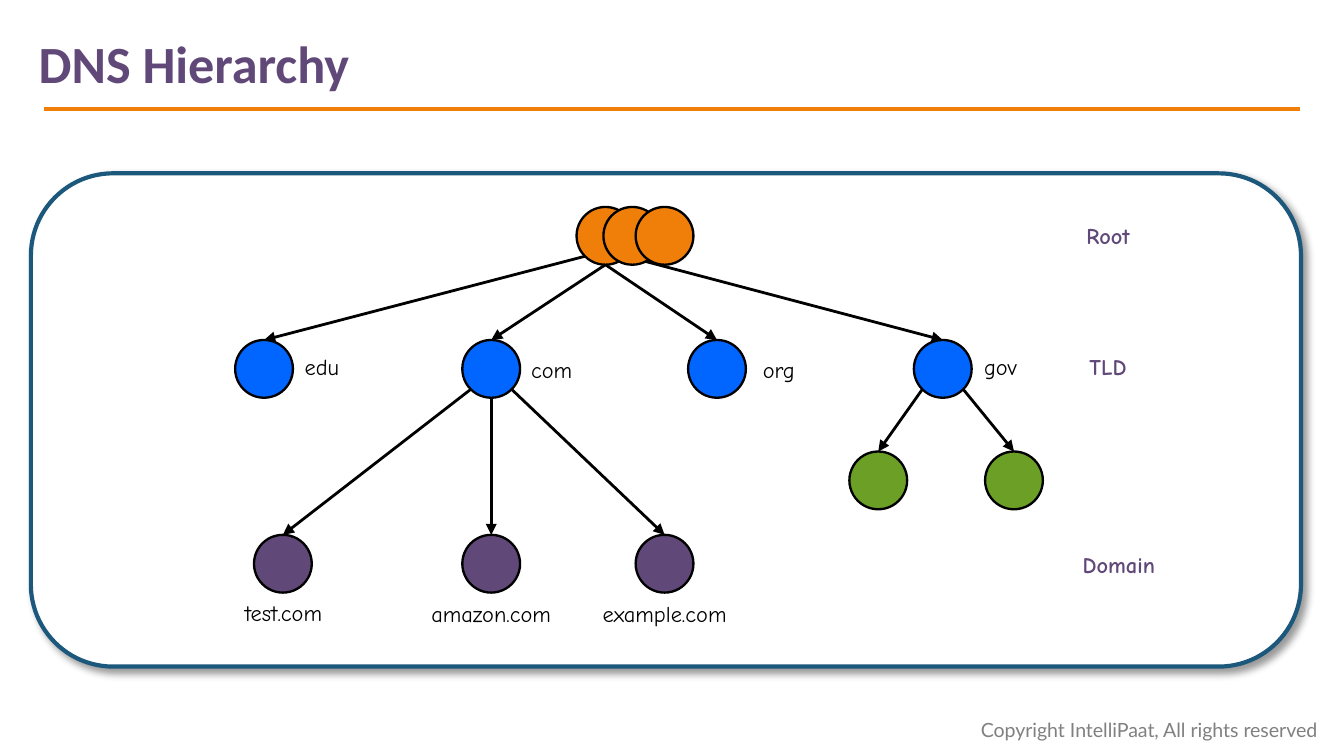
from math import cos, radians, sin

from lxml.etree import SubElement
from pptx import Presentation
from pptx.dml.color import RGBColor
from pptx.enum.shapes import MSO_CONNECTOR, MSO_SHAPE
from pptx.enum.text import MSO_ANCHOR, PP_ALIGN
from pptx.oxml.ns import qn
from pptx.util import Inches, Pt

COLORS = {
    "orange": "F07F09", "navy": "1B587C", "purple": "604878", "blue": "0066FF",
    "green": "6B9F25", "gray": "808080", "black": "000000", "white": "FFFFFF",
}
SIZE = 0.43  # node diameter


def color(name):
    return RGBColor.from_string(COLORS[name])


class Canvas:
    """Holds the style and the current slide."""
    font = "Comic Neue"

    def __init__(self, slide):
        self.shapes = slide.shapes

    def text(self, box, words, size=12, font=font, tint="black", bold=False,
             align=PP_ALIGN.CENTER, anchor=MSO_ANCHOR.TOP, wrap=True):
        frame = self.shapes.add_textbox(*map(Inches, box)).text_frame
        frame.word_wrap = wrap
        frame.vertical_anchor = anchor
        para = frame.paragraphs[0]
        para.alignment = align
        run = para.add_run()
        run.text = words
        run.font.name, run.font.size, run.font.bold = font, Pt(size), bold
        run.font.color.rgb = color(tint)

    def shape(self, kind, box, fill, line, width):
        shape = self.shapes.add_shape(kind, *map(Inches, box))
        shape.shadow.inherit = False
        shape.fill.solid()
        shape.fill.fore_color.rgb = color(fill)
        shape.line.color.rgb = color(line)
        shape.line.width = Pt(width)
        return shape

    def panel(self, box):
        panel = self.shape(MSO_SHAPE.ROUNDED_RECTANGLE, box, "white", "navy", 2.25)
        effects = panel._element.spPr.find(qn("a:effectLst"))
        shadow = SubElement(effects, qn("a:outerShdw"), blurRad=str(Pt(4)),
                            dist=str(Pt(3)), dir="2700000", algn="tl", rotWithShape="0")
        tint = SubElement(shadow, qn("a:srgbClr"), val=COLORS["black"])
        SubElement(tint, qn("a:alpha"), val="40000")

    def node(self, left, top, fill):
        return self.shape(MSO_SHAPE.OVAL, (left, top, SIZE, SIZE), fill, "black", 1.25)

    def line(self, start, end, tint, width):
        line = self.shapes.add_connector(MSO_CONNECTOR.STRAIGHT, *start, *end)
        line.line.color.rgb = color(tint)
        line.line.width = Pt(width)
        SubElement(line._element.spPr, qn("a:effectLst"))
        return line

    def arrow(self, parent, child, angle):
        """Leave the parent's rim at an angle from its bottom; end on the child's top."""
        reach, turn = parent.width / 2, radians(angle)
        start = (int(parent.left + reach * (1 + sin(turn))),
                 int(parent.top + reach * (1 + cos(turn))))
        line = self.line(start, (child.left + child.width // 2, child.top), "black", 1.5)
        line.end_connect(child, 0)
        SubElement(line.line._get_or_add_ln(), qn("a:tailEnd"), type="triangle")


def main():
    deck = Presentation()
    deck.slide_width = Inches(10)
    deck.slide_height = deck.slide_width * 9 // 16
    art = Canvas(deck.slides.add_slide(deck.slide_layouts[6]))

    # Footer, rule, panel and title
    art.text((7.2, 5.29, 2.8, 0.28), "Copyright IntelliPaat, All rights reserved", 10.5,
             "Lato", "gray", align=PP_ALIGN.LEFT, wrap=False)
    art.line((Inches(9.67), Inches(0.81)), (Inches(0.33), Inches(0.81)), "orange", 2.25)
    art.panel((0.23, 1.29, 9.45, 3.67))
    art.text((0.19, 0.18, 2.54, 0.57), "DNS Hierarchy", 28, "Calibri", "purple", True,
             PP_ALIGN.LEFT, wrap=False)

    # Nodes, level by level
    root = art.node(4.29, 1.54, "orange")
    tlds = [art.node(left, 2.53, "blue") for left in (1.75, 3.44, 5.12, 6.8)]
    sites = [art.node(left, 3.98, "purple") for left in (1.89, 3.44, 4.73)]
    leaves = [art.node(left, 3.36, "green") for left in (6.32, 7.33)]

    # Level names
    for top, width, words in ((1.61, 0.77, "Root"), (2.59, 0.77, "TLD"),
                              (4.06, 0.93, "Domain")):
        art.text((7.86, top, width, 0.28), words, tint="purple", bold=True,
                 anchor=MSO_ANCHOR.MIDDLE)

    # Node labels
    for left, top, width, words in (
            (2.08, 2.58, 0.63, "edu"), (3.79, 2.6, 0.63, "com"),
            (5.48, 2.6, 0.63, "org"), (7.13, 2.58, 0.63, "gov"),
            (1.66, 4.41, 0.9, "test.com"), (3.03, 4.42, 1.25, "amazon.com"),
            (4.32, 4.42, 1.25, "example.com")):
        art.text((left, top, width, 0.3), words)

    # Arrows from each parent to its children
    for parent, kids, angles in ((root, tlds, (-45, 0, 0, 45)),
                                 (tlds[1], sites, (-45, 0, 45)),
                                 (tlds[3], leaves, (-45, 45))):
        for child, angle in zip(kids, angles):
            art.arrow(parent, child, angle)

    # Further root servers, in front of the arrows
    for left in (4.49, 4.73):
        art.node(left, 1.54, "orange")

    deck.save("out.pptx")


if __name__ == "__main__":
    main()
